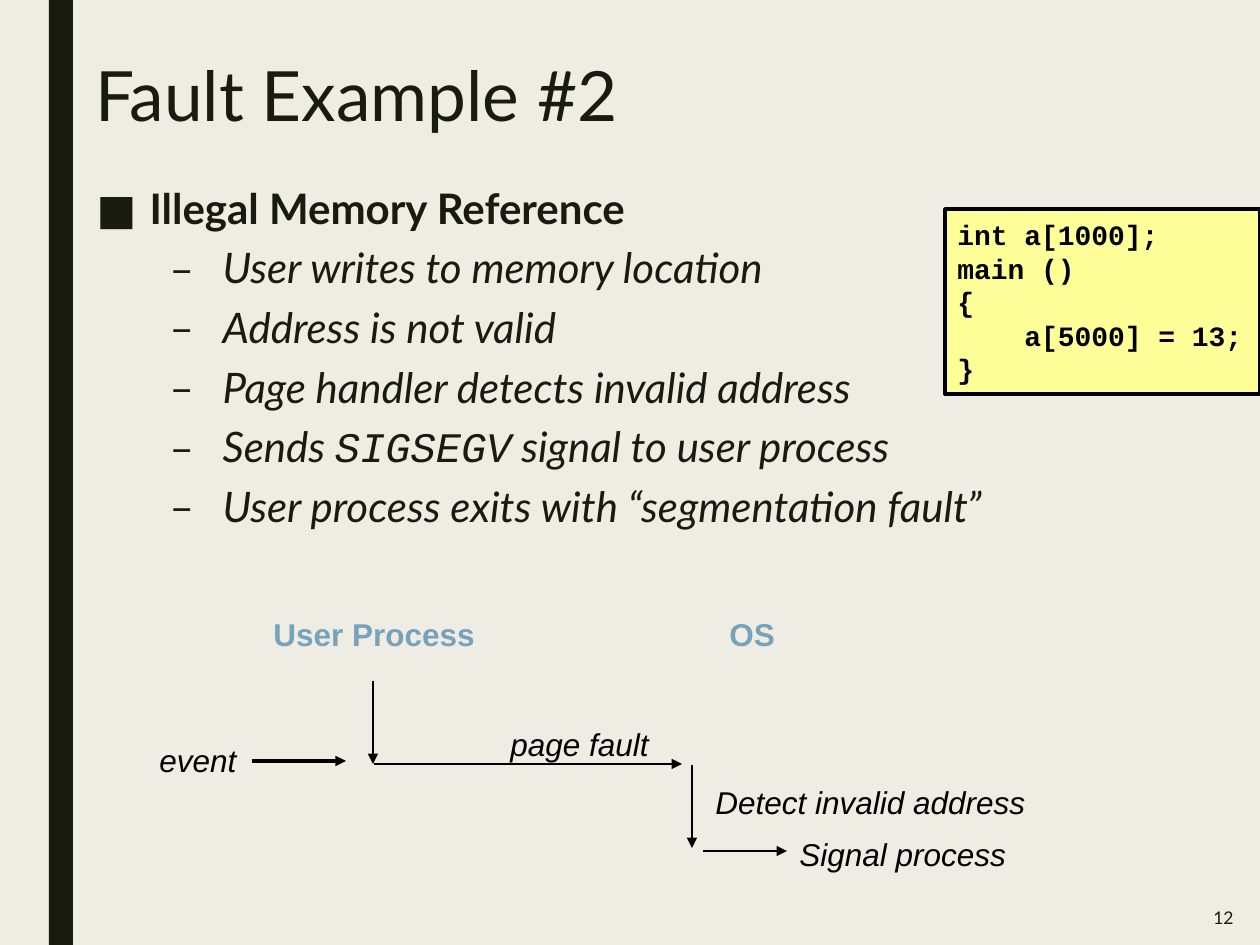
from dataclasses import dataclass

from lxml import etree
from pptx import Presentation
from pptx.dml.color import RGBColor
from pptx.enum.shapes import MSO_CONNECTOR, MSO_SHAPE
from pptx.enum.text import MSO_ANCHOR, MSO_AUTO_SIZE, PP_ALIGN
from pptx.oxml.ns import qn
from pptx.util import Emu, Pt

RECTANGLE = MSO_SHAPE.RECTANGLE
STRAIGHT = MSO_CONNECTOR.STRAIGHT
TOP, MIDDLE = MSO_ANCHOR.TOP, MSO_ANCHOR.MIDDLE
LEFT, RIGHT = PP_ALIGN.LEFT, PP_ALIGN.RIGHT
NO_AUTOFIT = MSO_AUTO_SIZE.NONE

CREAM = RGBColor(0xEF, 0xED, 0xE3)
INK = RGBColor(0x19, 0x1B, 0x0E)
YELLOW = RGBColor(0xFF, 0xFF, 0x99)
BLUE = RGBColor(0x77, 0xA2, 0xBB)
BLACK = RGBColor(0, 0, 0)

PIXELS_PER_INCH = 126
LATO, COURIER, ARIAL = "Lato", "Courier New", "Arial"


@dataclass
class Label:
    text: str
    left: int
    top: int
    width: int
    height: int = 50
    size: float = 18
    font: str = ARIAL
    color: RGBColor = BLACK
    bold: bool = False
    italic: bool = True
    align: PP_ALIGN = LEFT
    anchor: MSO_ANCHOR = TOP
    wrap: bool = False


@dataclass
class Arrow:
    x1: int
    y1: int
    x2: int
    y2: int
    weight: float = 1


@dataclass
class Bullet:
    phrases: list[str]
    level: int = 1


def px(pixels: float) -> Emu:
    return Emu(round(pixels * 914400 / PIXELS_PER_INCH))


def place(shape, left: int, top: int, width: int, height: int) -> None:
    shape.left, shape.top = px(left), px(top)
    shape.width, shape.height = px(width), px(height)


def style(run, size: float, font: str, color: RGBColor,
          bold: bool = False, italic: bool = False) -> None:
    run.font.size = Pt(size)
    run.font.name = font
    run.font.color.rgb = color
    run.font.bold = bold
    run.font.italic = italic


def add_label(slide, label: Label) -> None:
    box = slide.shapes.add_textbox(
        px(label.left), px(label.top), px(label.width), px(label.height))
    frame = box.text_frame
    frame.word_wrap = label.wrap
    frame.vertical_anchor = label.anchor
    frame.text = label.text
    paragraph = frame.paragraphs[0]
    paragraph.alignment = label.align
    style(paragraph.runs[0], label.size, label.font, label.color, label.bold, label.italic)


def add_arrow(slide, arrow: Arrow) -> None:
    connector = slide.shapes.add_connector(
        STRAIGHT, px(arrow.x1), px(arrow.y1), px(arrow.x2), px(arrow.y2))
    connector.line.color.rgb = BLACK
    connector.line.width = Pt(arrow.weight)
    properties = connector._element.spPr
    etree.SubElement(properties.find(qn("a:ln")), qn("a:tailEnd"), type="triangle")
    etree.SubElement(properties, qn("a:effectLst"))


def add_rectangle(slide, left: int, top: int, width: int, height: int, color: RGBColor):
    rectangle = slide.shapes.add_shape(RECTANGLE, px(left), px(top), px(width), px(height))
    rectangle.shadow.inherit = False
    rectangle.fill.solid()
    rectangle.fill.fore_color.rgb = color
    rectangle.line.fill.background()
    return rectangle


def format_bullet(paragraph, bullet: Bullet) -> None:
    top_level = bullet.level == 0
    paragraph.level = bullet.level
    paragraph.line_spacing = 0.94
    paragraph.space_before = Pt(10 if top_level else 5)
    paragraph.space_after = Pt(2)
    properties = paragraph._p.get_or_add_pPr()
    properties.set("marL", str(px(53 if top_level else 126)))
    properties.set("indent", str(-px(53)))
    etree.SubElement(properties, qn("a:buFont"), typeface=LATO)
    etree.SubElement(properties, qn("a:buChar"), char="■" if top_level else "–")
    for phrase in bullet.phrases:
        run = paragraph.add_run()
        run.text = phrase
        font = COURIER if phrase == "SIGSEGV" else LATO
        style(run, 24, font, INK, bold=top_level, italic=not top_level)


BULLETS = [
    Bullet(["Illegal Memory Reference"], level=0),
    Bullet(["User writes to memory location"]),
    Bullet(["Address is not valid"]),
    Bullet(["Page handler detects invalid address"]),
    Bullet(["Sends ", "SIGSEGV", " signal to user process"]),
    Bullet(["User process exits with “segmentation fault”"]),
]
CODE = "int a[1000];\nmain ()\n{\n    a[5000] = 13;\n}"
LABELS = [
    Label("User Process", 261, 609, 227, color=BLUE, bold=True, italic=False),
    Label("OS", 717, 609, 71, color=BLUE, bold=True, italic=False),
    Label("page fault", 498, 719, 164),
    Label("Detect invalid address", 703, 777, 348, wrap=True),
    Label("event", 147, 735, 111, wrap=True),
    Label("Signal process", 787, 829, 348, wrap=True),
    Label("12", 1081, 890, 165, 55, size=10, font=LATO, color=INK,
          italic=False, align=RIGHT, anchor=MIDDLE, wrap=True),
]
ARROWS = [
    Arrow(373, 681, 373, 764),
    Arrow(374, 764, 682, 764),
    Arrow(692, 765, 692, 848),
    Arrow(703, 851, 787, 851),
    Arrow(252, 761, 346, 761, weight=2),
]

presentation = Presentation()
presentation.slide_width, presentation.slide_height = px(1260), px(945)
slide = presentation.slides.add_slide(presentation.slide_layouts[1])
slide.background.fill.solid()
slide.background.fill.fore_color.rgb = CREAM

add_rectangle(slide, 49, 0, 24, 945, INK)

title = slide.shapes.title
place(title, 83, 59, 655, 81)
title.text_frame.text = "Fault Example #2"
title.text_frame.auto_size = NO_AUTOFIT
title.text_frame.vertical_anchor = MIDDLE
heading = title.text_frame.paragraphs[0]
heading.alignment = LEFT
heading.line_spacing = 0.89
style(heading.runs[0], 39.6, LATO, INK)

body = slide.placeholders[1]
place(body, 84, 180, 924, 503)
body.text_frame.auto_size = NO_AUTOFIT
body.text_frame.vertical_anchor = TOP
for index, bullet in enumerate(BULLETS):
    frame = body.text_frame
    format_bullet(frame.add_paragraph() if index else frame.paragraphs[0], bullet)

code = add_rectangle(slide, 945, 209, 315, 185, YELLOW)
code.line.color.rgb = BLACK
code.line.width = Pt(2)
code.text_frame.word_wrap = False
code.text_frame.vertical_anchor = MIDDLE
code.text_frame.text = CODE
for code_line in code.text_frame.paragraphs:
    code_line.alignment = LEFT
    style(code_line.runs[0], 16, COURIER, BLACK, bold=True)

for label in LABELS:
    add_label(slide, label)
for arrow in ARROWS:
    add_arrow(slide, arrow)

presentation.save("out.pptx")
